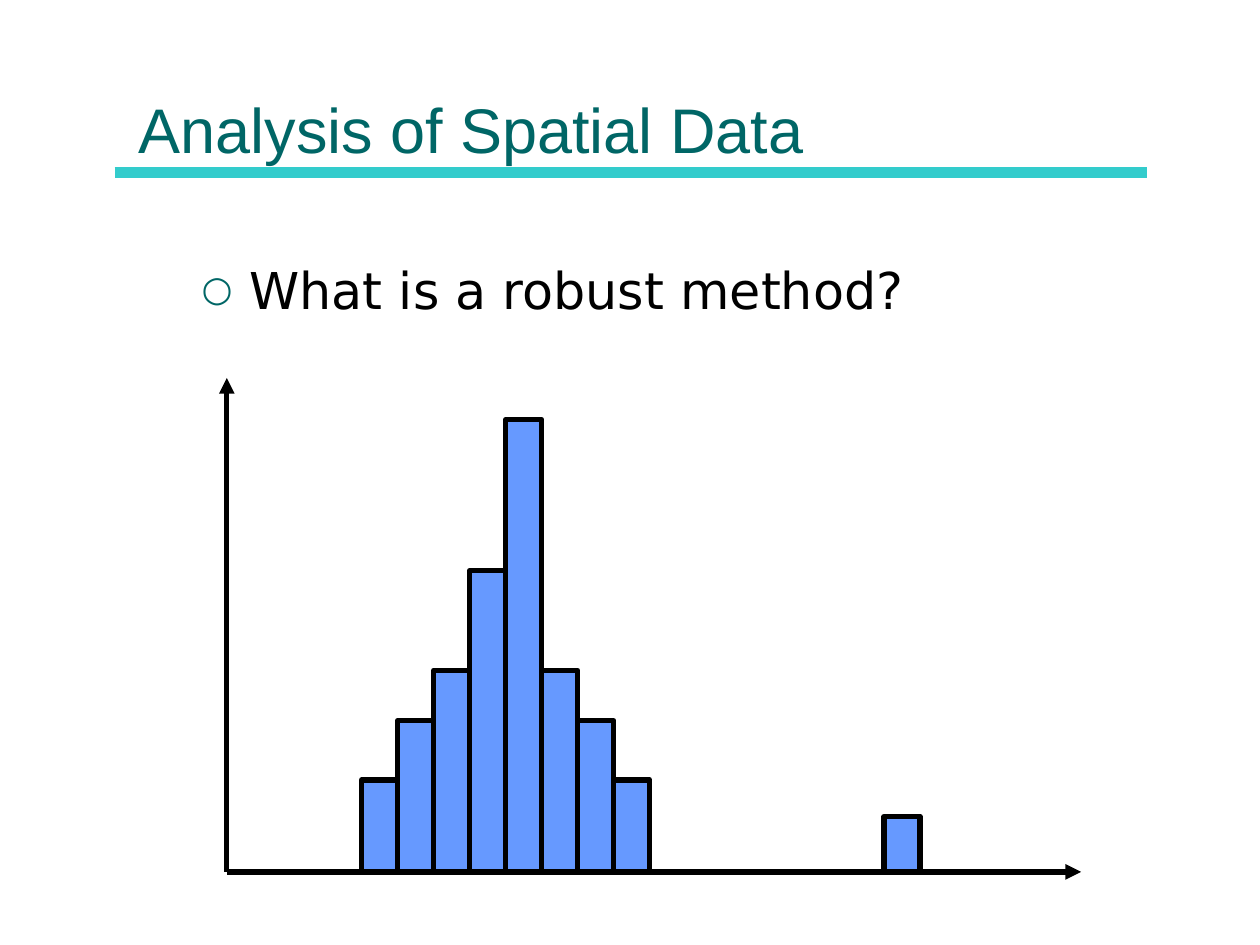
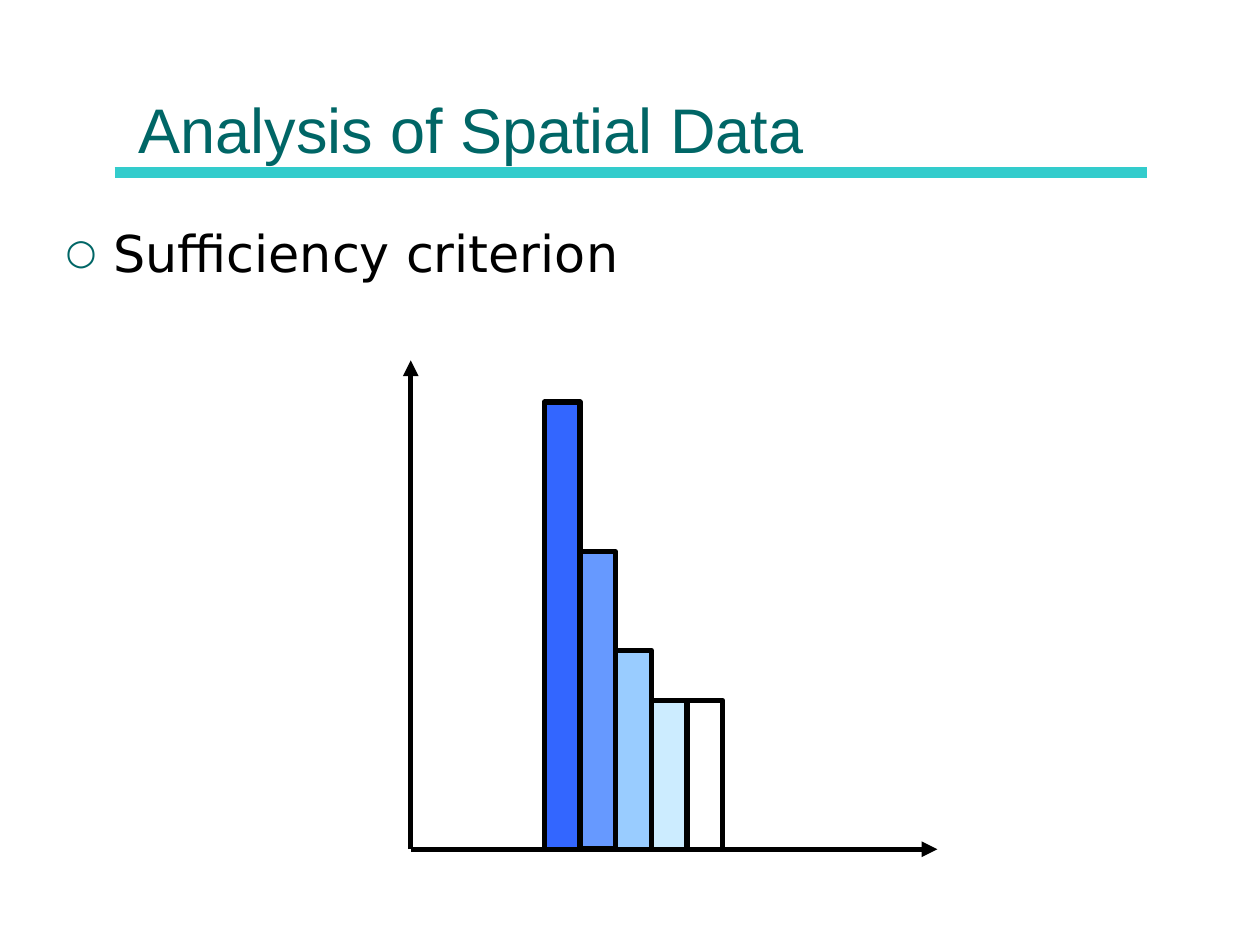
from dataclasses import dataclass

import pptx
import pptx.dml.color
import pptx.enum.shapes
import pptx.enum.text
import pptx.oxml
import pptx.oxml.ns
import pptx.presentation
import pptx.shapes.connector
import pptx.slide
import pptx.text.text
import pptx.util

RGBColor = pptx.dml.color.RGBColor

# Grid: 100 columns by 75 rows
SLIDE_WIDTH = pptx.util.Inches(10)
SLIDE_HEIGHT = pptx.util.Inches(7.5)
COLUMN = SLIDE_WIDTH / 100
ROW = SLIDE_HEIGHT / 75

# Shared style
TEAL = RGBColor(0x00, 0x66, 0x66)
TURQUOISE = RGBColor(0x33, 0xCC, 0xCC)
BLACK = RGBColor(0x00, 0x00, 0x00)
WHITE = RGBColor(0xFF, 0xFF, 0xFF)
STRONG_BLUE = RGBColor(0x33, 0x66, 0xFF)
BLUE = RGBColor(0x66, 0x99, 0xFF)
LIGHT_BLUE = RGBColor(0x99, 0xCC, 0xFF)
PALE_BLUE = RGBColor(0xCC, 0xEC, 0xFF)
TITLE_FONT = "Arial"
BODY_FONT = "DejaVu Sans"
TITLE = "Analysis of Spatial Data"
LINE_WIDTH = 3
RULE_WIDTH = 6


@dataclass(frozen=True)
class Area:
    """A rectangle in grid columns and rows."""
    left: float
    top: float
    width: float
    height: float


@dataclass(frozen=True)
class Point:
    """A place in grid columns and rows."""
    column: float
    row: float


@dataclass(frozen=True)
class Bar:
    """A bar; slot counts bar widths from the first bar."""
    slot: float
    height: float
    color: RGBColor


@dataclass(frozen=True)
class Histogram:
    origin: Point
    axis_top: float
    axis_right: float
    first_bar: float
    bar_width: float
    bars: list[Bar]


@dataclass(frozen=True)
class Page:
    bullet: str
    body: Area
    histogram: Histogram


TITLE_AREA = Area(10, 1.2, 80, 12.5)
RULE_START, RULE_END = Point(9.1, 13.7), Point(91, 13.7)

SAMPLE_HEIGHTS = [7.3, 12, 16, 23.9, 35.9, 16, 12, 7.3]
OUTLIER = Bar(14.5, 4.4, BLUE)
RANKED_BARS = [(35.5, STRONG_BLUE), (23.6, BLUE), (15.8, LIGHT_BLUE),
               (11.8, PALE_BLUE), (11.8, WHITE)]

PAGES = [
    Page("What is a robust method?", Area(15, 20, 80, 51.6),
         Histogram(Point(18, 69.2), 30, 85.8, 28.7, 2.86,
                   [Bar(slot, height, BLUE)
                    for slot, height in enumerate(SAMPLE_HEIGHTS)] + [OUTLIER])),
    Page("Sufficiency criterion", Area(4.2, 17.1, 91.3, 45),
         Histogram(Point(32.6, 67.4), 28.6, 74.4, 43.2, 2.83,
                   [Bar(slot, height, color)
                    for slot, (height, color) in enumerate(RANKED_BARS)])),
]


def across(columns: float) -> pptx.util.Emu:
    return pptx.util.Emu(round(columns * COLUMN))


def down(rows: float) -> pptx.util.Emu:
    return pptx.util.Emu(round(rows * ROW))


def add_line(slide: pptx.slide.Slide, start: Point, end: Point, color: RGBColor,
             width: float, arrow: bool = False) -> pptx.shapes.connector.Connector:
    line = slide.shapes.add_connector(
        pptx.enum.shapes.MSO_CONNECTOR.STRAIGHT,
        across(start.column), down(start.row), across(end.column), down(end.row))
    line.line.color.rgb = color
    line.line.width = pptx.util.Pt(width)
    if arrow:
        tail = pptx.oxml.parse_xml(
            f'<a:tailEnd {pptx.oxml.ns.nsdecls("a")} type="triangle"/>')
        line.line._get_or_add_ln().append(tail)
    properties = line.element.spPr
    properties.append(pptx.oxml.parse_xml(f'<a:effectLst {pptx.oxml.ns.nsdecls("a")}/>'))
    return line


def fill_placeholder(placeholder, area: Area, text: str,
                     anchor: pptx.enum.text.MSO_ANCHOR) -> pptx.text.text._Paragraph:
    placeholder.left, placeholder.top = across(area.left), down(area.top)
    placeholder.width, placeholder.height = across(area.width), down(area.height)
    frame = placeholder.text_frame
    frame.text = text
    frame.word_wrap = True
    frame.auto_size = pptx.enum.text.MSO_AUTO_SIZE.NONE
    frame.vertical_anchor = anchor
    paragraph = frame.paragraphs[0]
    paragraph.alignment = pptx.enum.text.PP_ALIGN.LEFT
    return paragraph


def set_font(paragraph: pptx.text.text._Paragraph, name: str, size: float,
             color: RGBColor) -> None:
    paragraph.font.name = name
    paragraph.font.size = pptx.util.Pt(size)
    paragraph.font.color.rgb = color


def set_bullet(paragraph: pptx.text.text._Paragraph) -> None:
    properties = paragraph._p.get_or_add_pPr()
    indent = across(3.8)
    properties.set("marL", str(indent))
    properties.set("indent", str(-indent))
    namespace = pptx.oxml.ns.nsdecls("a")
    for markup in (f'<a:buClr {namespace}><a:srgbClr val="{TEAL}"/></a:buClr>',
                   f'<a:buSzPct {namespace} val="70000"/>',
                   f'<a:buFont {namespace} typeface="{BODY_FONT}"/>',
                   f'<a:buChar {namespace} char="○"/>'):
        properties.append(pptx.oxml.parse_xml(markup))


def add_bar(slide: pptx.slide.Slide, histogram: Histogram, bar: Bar) -> None:
    shape = slide.shapes.add_shape(
        pptx.enum.shapes.MSO_SHAPE.RECTANGLE,
        across(histogram.first_bar + bar.slot * histogram.bar_width),
        down(histogram.origin.row - bar.height),
        across(histogram.bar_width), down(bar.height))
    shape.shadow.inherit = False
    shape.fill.solid()
    shape.fill.fore_color.rgb = bar.color
    shape.line.color.rgb = BLACK
    shape.line.width = pptx.util.Pt(LINE_WIDTH)


def add_histogram(slide: pptx.slide.Slide, histogram: Histogram) -> None:
    origin = histogram.origin
    for end in (Point(origin.column, histogram.axis_top),
                Point(histogram.axis_right, origin.row)):
        add_line(slide, origin, end, BLACK, LINE_WIDTH, arrow=True)
    for bar in histogram.bars:
        add_bar(slide, histogram, bar)


def add_page(presentation: pptx.presentation.Presentation, page: Page) -> None:
    slide = presentation.slides.add_slide(presentation.slide_layouts[1])

    # Title, with the rule behind it
    rule = add_line(slide, RULE_START, RULE_END, TURQUOISE, RULE_WIDTH)
    slide.shapes.element.insert(2, rule.element)
    title = fill_placeholder(slide.shapes.title, TITLE_AREA, TITLE,
                             pptx.enum.text.MSO_ANCHOR.BOTTOM)
    set_font(title, TITLE_FONT, 36, TEAL)

    # Bullet
    bullet = fill_placeholder(slide.placeholders[1], page.body, page.bullet,
                              pptx.enum.text.MSO_ANCHOR.TOP)
    set_bullet(bullet)
    set_font(bullet, BODY_FONT, 29, BLACK)

    # Diagram
    add_histogram(slide, page.histogram)


def main() -> None:
    presentation = pptx.Presentation()
    presentation.slide_width = SLIDE_WIDTH
    presentation.slide_height = SLIDE_HEIGHT
    for page in PAGES:
        add_page(presentation, page)
    presentation.save("out.pptx")


if __name__ == "__main__":
    main()
